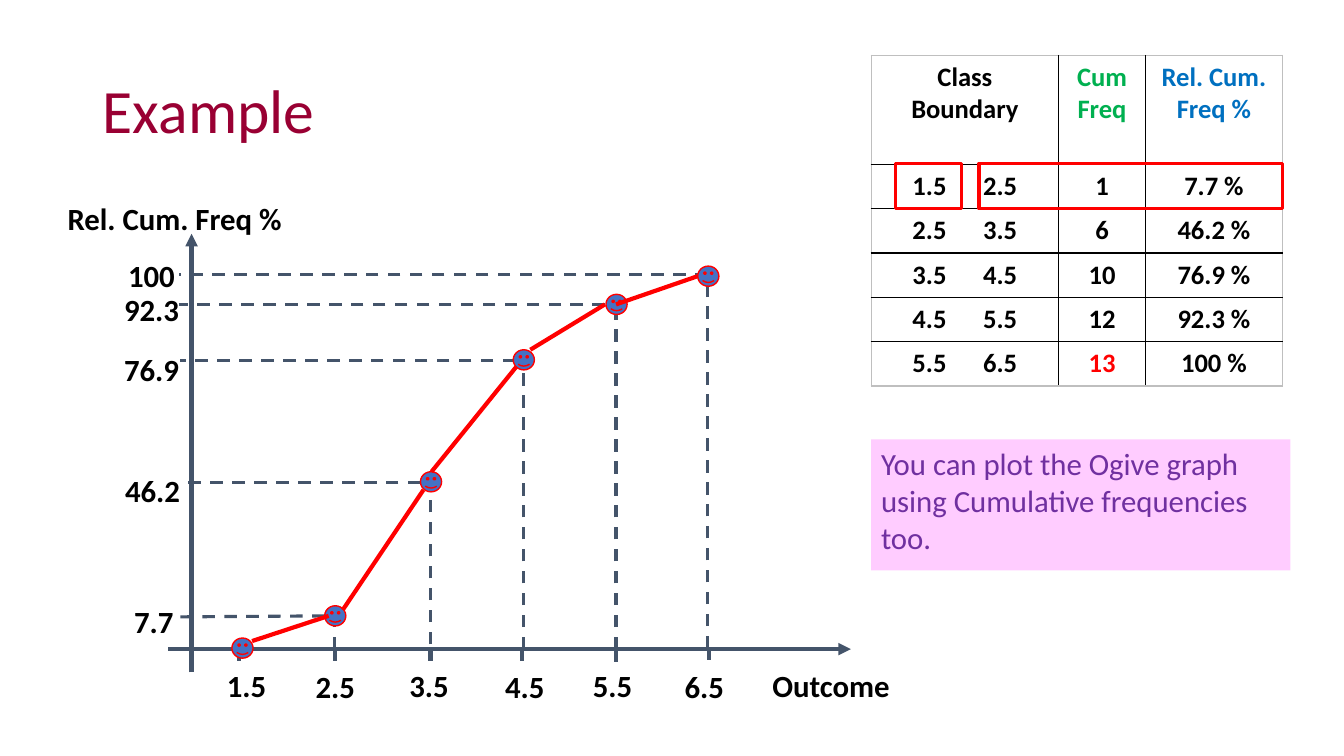
from dataclasses import dataclass

from lxml.etree import SubElement
from pptx import Presentation
from pptx.dml.color import RGBColor
from pptx.enum.dml import MSO_LINE
from pptx.enum.shapes import MSO_CONNECTOR, MSO_SHAPE
from pptx.enum.text import MSO_ANCHOR, PP_ALIGN
from pptx.oxml.ns import qn
from pptx.util import Inches, Pt


@dataclass(frozen=True)
class Theme:
    font: str = "Calibri"
    title: str = "990033"
    text: str = "000000"
    axis: str = "44546A"
    curve: str = "FF0000"
    marker: str = "4472C4"
    cum: str = "00B050"
    rel: str = "0070C0"
    frame: str = "BFBFBF"
    note: str = "7030A0"
    note_fill: str = "FFCCFF"
    title_size: int = 44
    body_size: int = 22
    table_size: int = 19


T = Theme()

# outcome, cumulative frequency, relative %, marker centre x and y
POINTS = [
    ("1.5", None, None, 2.4, 6.43),
    ("2.5", "1", "7.7", 3.32, 6.11),
    ("3.5", "6", "46.2", 4.27, 4.78),
    ("4.5", "10", "76.9", 5.19, 3.57),
    ("5.5", "12", "92.3", 6.11, 3.02),
    ("6.5", "13", "100", 7.02, 2.74),
]
X_LABELS = [(2.13, 6.55), (3.01, 6.56), (3.94, 6.55),
            (4.89, 6.56), (5.76, 6.55), (6.67, 6.56)]
Y_LABELS = [(1.21, 5.92, 0.64), (1.12, 4.62, 0.79), (1.11, 3.42, 0.79),
            (1.11, 2.82, 0.79), (1.15, 2.49, 0.71)]
ACROSS = [(3.22, 6.11, 1.79, 6.12), (4.17, 4.79, 1.79, 4.79),
          (5.11, 3.58, 1.79, 3.58), (6, 3.02, 1.78, 3.02),
          (7.02, 2.72, 1.78, 2.72)]
DOWN = [(6.44, 6.18), (6.39, 4.89), (6.44, 3.67), (6.44, 3.09), (6.43, 2.84)]
TICKS = [(2.37, 6.46, 6.56), (3.32, 6.46, 6.56), (4.27, 6.46, 6.56),
         (5.18, 6.46, 6.56), (6.11, 6.44, 6.57), (7.03, 6.42, 6.55)]
CURVE = [(2.5, 6.36, 3.26, 6.11), (3.4, 6.05, 4.2, 4.86),
         (4.28, 4.68, 5.12, 3.64), (5.26, 3.47, 6, 3.02),
         (6.11, 3.02, 6.92, 2.74)]


def rgb(color):
    return RGBColor.from_string(color)


def box(x, y, w, h):
    return [Inches(v) for v in (x, y, w, h)]


def write(tf, text, size=T.body_size, color=T.text, bold=False,
          align=PP_ALIGN.LEFT, spacing=None, tab=None):
    p = tf.paragraphs[0]
    p.alignment = align
    if spacing:
        p.line_spacing = spacing
    if tab:
        tabs = SubElement(p._p.get_or_add_pPr(), qn("a:tabLst"))
        SubElement(tabs, qn("a:tab"), pos=str(Inches(tab)), algn="l")
    r = p.add_run()
    r.text = text
    r.font.name, r.font.size, r.font.bold = T.font, Pt(size), bold
    r.font.color.rgb = rgb(color)


def set_margins(area):
    area.margin_left = area.margin_right = Inches(0.12)
    area.margin_top = area.margin_bottom = Inches(0.06)


def add_label(s, text, x, y, w):
    tf = s.shapes.add_textbox(*box(x, y, w, 0.49)).text_frame
    tf.word_wrap = False
    set_margins(tf)
    write(tf, text, bold=True)


def add_line(s, x1, y1, x2, y2, color=T.axis, width=3, dash=False, arrow=False):
    c = s.shapes.add_connector(MSO_CONNECTOR.STRAIGHT, *box(x1, y1, x2, y2))
    c.line.color.rgb = rgb(color)
    c.line.width = Pt(width)
    if dash:
        c.line.dash_style = MSO_LINE.DASH
    if arrow:
        SubElement(c.line._get_or_add_ln(), qn("a:tailEnd"), type="triangle")
    SubElement(c._element.spPr, qn("a:effectLst"))


def add_shape(s, kind, x, y, w, h, fill=None, line=None, width=1):
    sp = s.shapes.add_shape(kind, *box(x, y, w, h))
    sp.shadow.inherit = False
    if fill:
        sp.fill.solid()
        sp.fill.fore_color.rgb = rgb(fill)
    else:
        sp.fill.background()
    if line:
        sp.line.color.rgb = rgb(line)
        sp.line.width = Pt(width)
    else:
        sp.line.fill.background()
    return sp


def set_borders(cell, outer):
    """Draw all four sides, with the frame colour on the sides named in outer."""
    tcPr = cell._tc.get_or_add_tcPr()
    for side in "LRTB":
        ln = SubElement(tcPr, qn(f"a:ln{side}"), w=str(Pt(1)))
        fill = SubElement(ln, qn("a:solidFill"))
        SubElement(fill, qn("a:srgbClr"), val=T.frame if side in outer else T.text)


def add_frequency_table(s):
    rows = [("Class Boundary", "Cum Freq", "Rel. Cum. Freq %")]
    for low, high in zip(POINTS, POINTS[1:]):
        rows.append((f"{low[0]}\t{high[0]}", high[1], f"{high[2]} %"))
    widths, heights = [1.86, 0.86, 1.36], [1.08] + [0.44] * 5
    colors = {(0, 1): T.cum, (0, 2): T.rel, (5, 1): T.curve}
    table = s.shapes.add_table(6, 3, *box(8.64, 0.55, 4.08, 3.28)).table
    table.first_row = table.horz_banding = False
    for col, w in zip(table.columns, widths):
        col.width = Inches(w)
    for row, h in zip(table.rows, heights):
        row.height = Inches(h)
    for i, texts in enumerate(rows):
        for j, text in enumerate(texts):
            cell = table.cell(i, j)
            set_margins(cell)
            sides = {"L": j == 0, "R": j == 2, "T": i == 0, "B": i == 5}
            set_borders(cell, [k for k, on in sides.items() if on])
            cell.fill.background()
            interval = "\t" in text
            if interval:
                cell.margin_left = Inches(0.41)
            write(cell.text_frame, text, T.table_size,
                  colors.get((i, j), T.text), bold=True,
                  align=PP_ALIGN.LEFT if interval else PP_ALIGN.CENTER,
                  tab=0.7 if interval else None)


def add_ogive(s):
    add_line(s, 1.67, 6.44, 8.44, 6.44, arrow=True)
    add_line(s, 1.9, 6.67, 1.9, 2.32, arrow=True)
    add_label(s, "Rel. Cum. Freq %", 0.55, 1.92, 2.39)
    add_label(s, "Outcome", 7.54, 6.55, 1.42)
    for x, top, bottom in TICKS:
        add_line(s, x, top, x, bottom, dash=True)
    for point, (x, y) in zip(POINTS, X_LABELS):
        add_label(s, point[0], x, y, 0.64)
    for point, spot, across, down in zip(POINTS[1:], Y_LABELS, ACROSS, DOWN):
        x = point[3]
        add_label(s, point[2], *spot)
        add_line(s, *across, width=2.25, dash=True)
        add_line(s, x, down[0], x, down[1], width=2.25, dash=True)
    for *_, x, y in POINTS:
        add_shape(s, MSO_SHAPE.SMILEY_FACE, x - 0.1, y - 0.1, 0.21, 0.2,
                  T.marker, T.curve)
    for segment in CURVE:
        add_line(s, *segment, color=T.curve)


def add_title(s, text):
    sp = s.shapes.title
    sp.left, sp.top, sp.width, sp.height = box(0.92, 0.4, 7.96, 1.45)
    sp.text_frame.vertical_anchor = MSO_ANCHOR.MIDDLE
    write(sp.text_frame, text, T.title_size, T.title, spacing=0.9)


def add_note(s, text):
    sp = add_shape(s, MSO_SHAPE.RECTANGLE, 8.64, 4.36, 4.16, 1.3, T.note_fill)
    sp.text_frame.word_wrap = True
    sp.text_frame.vertical_anchor = MSO_ANCHOR.TOP
    write(sp.text_frame, text, color=T.note)


def main():
    prs = Presentation()
    prs.slide_width, prs.slide_height = Inches(13.33), Inches(7.5)
    s = prs.slides.add_slide(prs.slide_layouts[5])
    add_title(s, "Example")
    add_ogive(s)
    add_frequency_table(s)
    for x, w in ((9.71, 3.01), (8.88, 0.66)):
        add_shape(s, MSO_SHAPE.RECTANGLE, x, 1.62, w, 0.45, line=T.curve, width=2.25)
    add_note(s, "You can plot the Ogive graph using Cumulative frequencies too.")
    prs.save("out.pptx")


if __name__ == "__main__":
    main()
